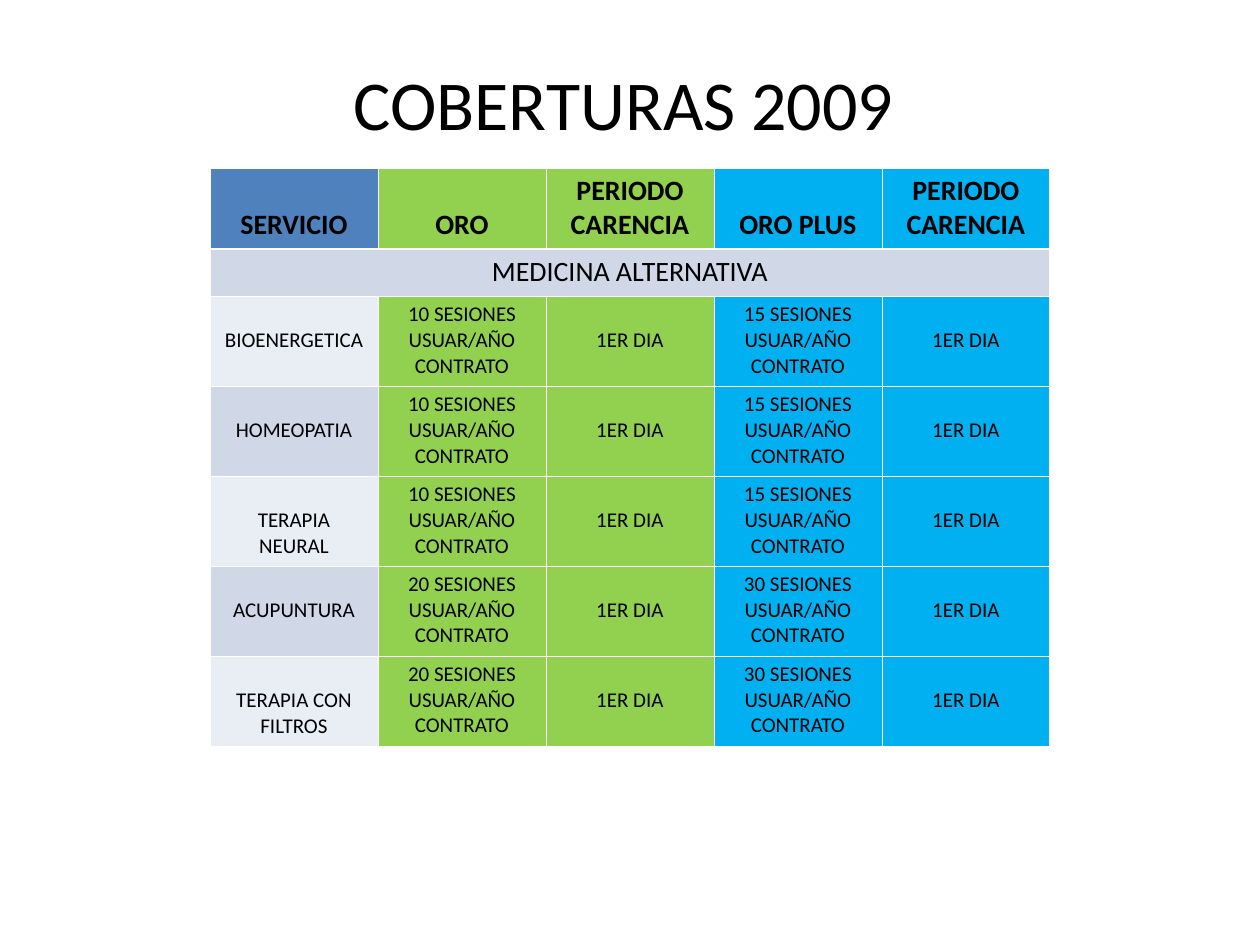
from dataclasses import dataclass

from lxml import etree
from pptx import Presentation
from pptx.dml.color import RGBColor
from pptx.enum.text import MSO_ANCHOR, MSO_AUTO_SIZE, PP_ALIGN
from pptx.oxml.ns import qn
from pptx.util import Pt

CENTER = PP_ALIGN.CENTER
MIDDLE = MSO_ANCHOR.MIDDLE
TOP = MSO_ANCHOR.TOP
NO_FIT = MSO_AUTO_SIZE.NONE
SCALE = 914400 // 126


@dataclass(frozen=True)
class Theme:
    font: str = "Calibri"
    ink: str = "000000"
    line: str = "FFFFFF"
    head: str = "4F81BD"
    gold: str = "92D050"
    plus: str = "00B0F0"
    dark: str = "D0D8E8"
    light: str = "E9EDF4"
    title: int = 40
    large: int = 16
    small: int = 12


THEME = Theme()
HEADS = ["SERVICIO", "ORO", "PERIODO CARENCIA", "ORO PLUS", "PERIODO CARENCIA"]
PLANS = [
    ("BIOENERGETICA", 10, 15),
    ("HOMEOPATIA", 10, 15),
    ("TERAPIA NEURAL", 10, 15),
    ("ACUPUNTURA", 20, 30),
    ("TERAPIA CON FILTROS", 20, 30),
]


def px(count):
    return count * SCALE


def style(para, size, bold=False):
    para.alignment = CENTER
    font = para.font
    font.name = THEME.font
    font.size = Pt(size)
    font.bold = bold
    font.color.rgb = RGBColor.from_string(THEME.ink)


def edge(cell, side, width):
    line = etree.SubElement(cell._tc.get_or_add_tcPr(), qn(f"a:ln{side}"), w=str(Pt(width)))
    fill = etree.SubElement(line, qn("a:solidFill"))
    etree.SubElement(fill, qn("a:srgbClr"), val=THEME.line)


def paint(cell, color, top=0.45, bottom=0.45):
    for side, width in (("L", 0.45), ("R", 0.45), ("T", top), ("B", bottom)):
        edge(cell, side, width)
    cell.fill.solid()
    cell.fill.fore_color.rgb = RGBColor.from_string(color)


def write(cell, text, size, inset=6, bold=False):
    cell.text = text
    cell.vertical_anchor = TOP
    cell.margin_top = px(inset)
    style(cell.text_frame.paragraphs[0], size, bold)


def add_title(slide, box):
    title = slide.shapes.title
    title.left, title.top, title.width, title.height = map(px, box)
    frame = title.text_frame
    frame.text = "COBERTURAS 2009"
    frame.auto_size = NO_FIT
    frame.vertical_anchor = MIDDLE
    style(frame.paragraphs[0], THEME.title)


def add_grid(slide, box):
    left, top, width, height = box
    count = len(HEADS)
    head, band = 81, 47
    body = (height - head - band) // len(PLANS)
    rows = [head, band] + [body] * len(PLANS)
    grid = slide.shapes.add_table(len(rows), count, *map(px, box)).table
    for col in grid.columns:
        col.width = px(width // count)
    for row, size in zip(grid.rows, rows):
        row.height = px(size)

    fills = [THEME.gold] * 2 + [THEME.plus] * 2
    for col, (text, color) in enumerate(zip(HEADS, [THEME.head] + fills)):
        cell = grid.cell(0, col)
        paint(cell, color, bottom=1.47)
        write(cell, text, THEME.large, 6 if "PERIODO" in text else 40, True)
        paint(grid.cell(1, col), THEME.dark, top=1.47)
    grid.cell(1, 0).merge(grid.cell(1, count - 1))
    write(grid.cell(1, 0), "MEDICINA ALTERNATIVA", THEME.large)

    for row, (name, gold, plus) in enumerate(PLANS, 2):
        shade = THEME.dark if row % 2 else THEME.light
        gold_text, plus_text = (f"{num} SESIONES USUAR/AÑO CONTRATO" for num in (gold, plus))
        texts = [name, gold_text, "1ER DIA", plus_text, "1ER DIA"]
        for col, (text, color) in enumerate(zip(texts, [shade] + fills)):
            cell = grid.cell(row, col)
            paint(cell, color)
            write(cell, text, THEME.small, 6 if "SESIONES" in text else 32)


def main():
    deck = Presentation()
    deck.slide_width, deck.slide_height = px(1260), px(945)
    slide = deck.slides.add_slide(deck.slide_layouts[5])
    add_title(slide, (88, 59, 1071, 88))
    add_grid(slide, (210, 168, 840, 578))
    deck.save("out.pptx")


if __name__ == "__main__":
    main()
